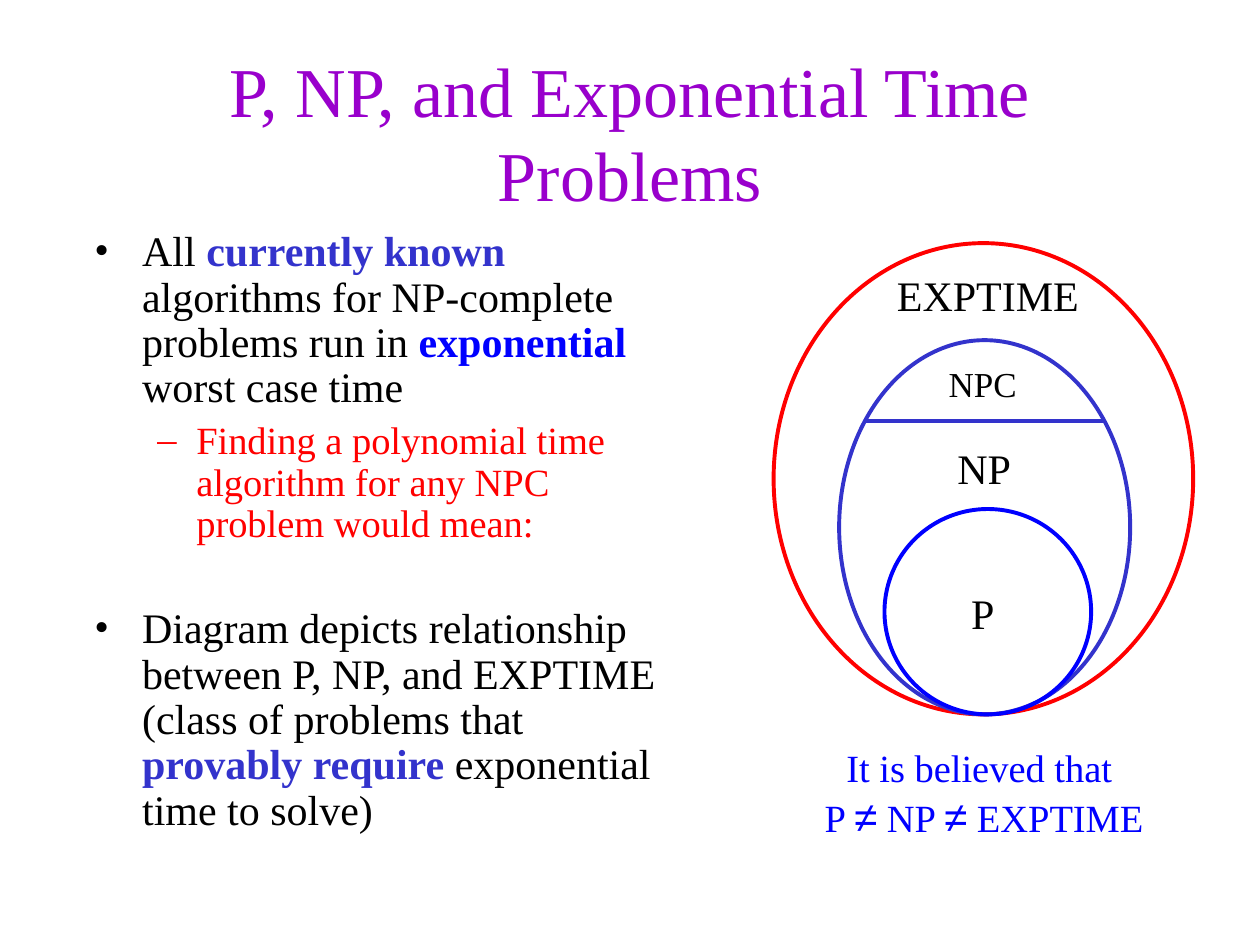
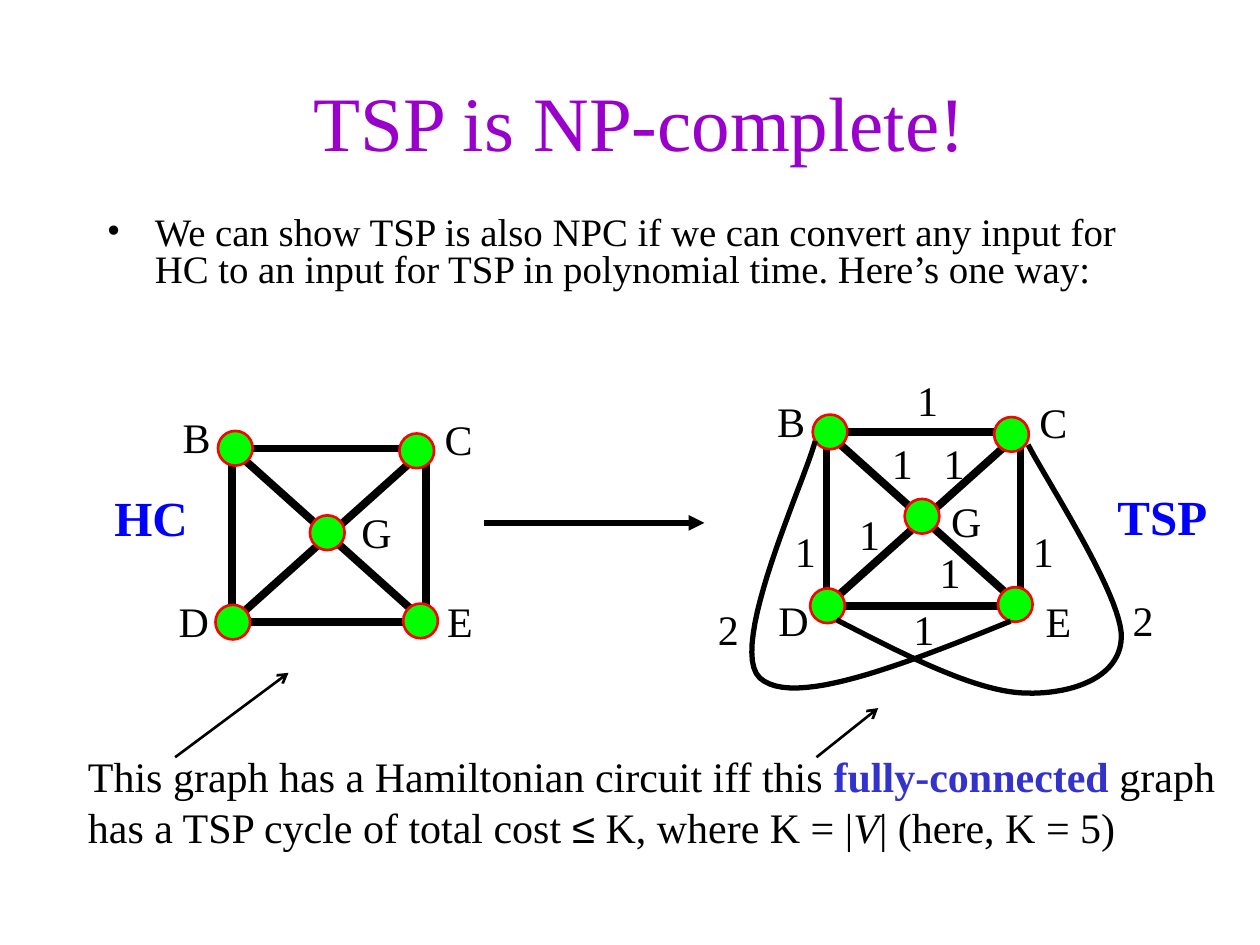
import pptx
import pptx.util
import pptx.dml.color
import pptx.enum.shapes
import pptx.enum.text
import pptx.oxml.ns
from lxml import etree

Inches = pptx.util.Inches
Pt = pptx.util.Pt
PRESETS = pptx.enum.shapes.MSO_SHAPE
ALIGN = pptx.enum.text.PP_ALIGN
FIT = pptx.enum.text.MSO_AUTO_SIZE

FONT = "Times New Roman"
SYMBOL_FONT = "Arial"
COLORS = {
    "title": "9900CC",
    "ink": "000000",
    "indigo": "3333CC",
    "blue": "0000FF",
    "red": "FF0000",
    "green": "00FF00",
}

# Node circles and edges, measured from the top left corner of a graph's square
SQUARE = (1.54, 1.38)
NODE_SIZE = 0.275
NODES = [(-0.11, -0.14), (1.33, -0.12), (-0.13, 1.24), (1.36, 1.23), (0.62, 0.53)]
NAMES = "BCDEG"


def rgb(name):
    return pptx.dml.color.RGBColor.from_string(COLORS[name])


def add_xml(parent, tag, **attributes):
    return etree.SubElement(parent, pptx.oxml.ns.qn(tag), **attributes)


def add_run(para, text, size, color="ink", bold=False, italic=False, font=FONT):
    span = para.add_run()
    span.text = text
    span.font.name = font
    span.font.size = Pt(size)
    span.font.bold = bold
    span.font.italic = italic
    span.font.color.rgb = rgb(color)


def add_title(page, text, left, top, size):
    title = page.shapes.title
    title.left, title.top = Inches(left), Inches(top)
    title.width, title.height = Inches(8.5), Inches(1.25)
    frame = title.text_frame
    frame.word_wrap = True
    frame.auto_size = FIT.NONE
    frame.vertical_anchor = pptx.enum.text.MSO_ANCHOR.MIDDLE
    para = frame.paragraphs[0]
    para.alignment = ALIGN.CENTER
    add_run(para, text, size, "title")


def add_text(page, left, top, width, height, lines, align=ALIGN.LEFT):
    """Each line is a list of runs; a run is (text, size, options)."""
    box = page.shapes.add_textbox(Inches(left), Inches(top), Inches(width), Inches(height))
    frame = box.text_frame
    frame.word_wrap = False
    frame.auto_size = FIT.SHAPE_TO_FIT_TEXT
    for index, runs in enumerate(lines):
        para = frame.add_paragraph() if index else frame.paragraphs[0]
        para.alignment = align
        for text, size, options in runs:
            add_run(para, text, size, **options)


def add_label(page, text, left, top, size=24, width=0.42, height=0.5, **options):
    add_text(page, left, top, width, height, [[(text, size, options)]])


def add_bullets(page, left, top, width, height, spacing, bullets):
    """Each bullet is (level, space before, size, runs); a run is (text, options)."""
    box = page.shapes.add_textbox(Inches(left), Inches(top), Inches(width), Inches(height))
    frame = box.text_frame
    frame.word_wrap = True
    for index, (level, before, size, runs) in enumerate(bullets):
        para = frame.add_paragraph() if index else frame.paragraphs[0]
        para.level = level
        para.line_spacing = spacing
        para.space_before = Pt(before)
        mark, margin, hang, color = [("•", 0.38, 0.38, "ink"), ("–", 0.81, 0.31, "red")][level]
        props = para._p.get_or_add_pPr()
        props.set("marL", str(Inches(margin)))
        props.set("indent", str(-Inches(hang)))
        add_xml(add_xml(props, "a:buClr"), "a:srgbClr", val=COLORS[color])
        add_xml(props, "a:buFont", typeface=FONT)
        add_xml(props, "a:buChar", char=mark)
        for text, options in runs:
            add_run(para, text, size, **options)


def style_outline(shape, color, weight, fill=None):
    shape.shadow.inherit = False
    if fill:
        shape.fill.solid()
        shape.fill.fore_color.rgb = rgb(fill)
    else:
        shape.fill.background()
    shape.line.color.rgb = rgb(color)
    shape.line.width = Pt(weight)


def add_outline(page, preset, left, top, width, height, color, weight, fill=None):
    shape = page.shapes.add_shape(
        preset, Inches(left), Inches(top), Inches(width), Inches(height))
    style_outline(shape, color, weight, fill)


def add_line(page, start, end, weight, color="ink", arrow=None):
    line = page.shapes.add_connector(
        pptx.enum.shapes.MSO_CONNECTOR.STRAIGHT, *[Inches(value) for value in (*start, *end)])
    line.line.color.rgb = rgb(color)
    line.line.width = Pt(weight)
    if arrow:
        add_xml(line.line._get_or_add_ln(), "a:tailEnd", type=arrow)
    add_xml(line._element.spPr, "a:effectLst")


def bezier_point(points, t):
    weights = ((1 - t) ** 3, 3 * t * (1 - t) ** 2, 3 * t ** 2 * (1 - t), t ** 3)
    return tuple(Inches(sum(weight * point[axis] for weight, point in zip(weights, points)))
                 for axis in (0, 1))


def add_curve(page, points, steps=24):
    """Draw chained cubic curves: a start point, then three points per curve."""
    vertices = [bezier_point(points[first:first + 4], step / steps)
                for first in range(0, len(points) - 1, 3)
                for step in range(1, steps + 1)]
    builder = page.shapes.build_freeform(Inches(points[0][0]), Inches(points[0][1]))
    builder.add_line_segments(vertices, close=False)
    style_outline(builder.convert_to_shape(), "ink", 3)


def add_graph(page, left, top, label_places):
    width, height = SQUARE
    right, bottom = left + width, top + height
    add_outline(page, PRESETS.RECTANGLE, left, top, width, height, "ink", 4.5)
    add_line(page, (left, top), (right, bottom), 4.5)
    add_line(page, (left, bottom), (right, top), 4.5)
    for x, y in NODES:
        add_outline(page, PRESETS.OVAL, left + x, top + y, NODE_SIZE, NODE_SIZE,
                    "red", 1.5, "green")
    for name, (x, y) in zip(NAMES, label_places):
        add_label(page, name, x, y)


def build_classes_page(page):
    add_title(page, "P, NP, and Exponential Time Problems", 0.75, 0.42, 40)
    indigo = {"color": "indigo", "bold": True}
    # The last bullet stands one line further down
    add_bullets(page, 0.65, 1.78, 4.74, 5.06, 0.9, [
        (0, 6, 24, [("All ", {}), ("currently known", indigo),
                    (" algorithms for NP-complete problems run in ", {}),
                    ("exponential", {"color": "blue", "bold": True}),
                    (" worst case time", {})]),
        (1, 5.5, 22, [("Finding a polynomial time algorithm for any NPC problem would mean:",
                       {"color": "red"})]),
        (0, 35, 24, [("Diagram depicts relationship between P, NP, and EXPTIME "
                      "(class of problems that ", {}),
                     ("provably require", indigo), (" exponential time to solve)", {})]),
    ])

    # Belief about the classes
    blue = {"color": "blue"}
    unequal = ("≠", 24, {"color": "blue", "font": SYMBOL_FONT})
    add_text(page, 6.35, 5.86, 2.92, 0.87, [
        [("It is believed that ", 22, blue)],
        [("P ", 22, blue), unequal, (" NP ", 22, blue), unequal, (" EXPTIME", 22, blue)],
    ], ALIGN.CENTER)

    # Nested classes
    for left, top, width, height, color in [
            (6.14, 1.93, 3.33, 3.74, "red"),
            (6.66, 2.7, 2.31, 2.97, "indigo"),
            (7.02, 4.04, 1.64, 1.63, "blue")]:
        add_outline(page, PRESETS.OVAL, left, top, width, height, color, 2.25)
    add_line(page, (6.86, 3.34), (8.76, 3.34), 2.25, "indigo")

    # Class names, in boxes a little wider than their text
    add_label(page, "EXPTIME", 7.02, 2.09, width=1.7)
    add_label(page, "NP", 7.5, 3.46, width=0.7)
    add_label(page, "P", 7.61, 4.61)
    add_label(page, "NPC", 7.43, 2.83, size=20, width=0.8, height=0.44)


def build_reduction_page(page):
    add_title(page, "TSP is NP-complete!", 0.83, 0.33, 44)
    add_bullets(page, 0.75, 1.67, 8.38, 0.98, 0.8, [
        (0, 6, 22.2, [("We can show TSP is also NPC if we can convert any input for HC "
                       "to an input for TSP in polynomial time. Here’s one way:", {})]),
    ])

    # Both graphs and the extra edges of the right one
    add_graph(page, 1.84, 3.56,
              [(1.35, 3.22), (3.43, 3.23), (1.32, 4.68), (3.45, 4.68), (2.77, 3.97)])
    add_graph(page, 6.56, 3.43,
              [(6.07, 3.09), (8.15, 3.1), (6.08, 4.67), (8.2, 4.68), (7.45, 3.88)])
    add_curve(page, [(8.02, 4.93), (7.16, 5.28), (6.29, 5.62), (6.03, 5.38),
                     (5.77, 5.14), (6.39, 3.81), (6.47, 3.5)])
    add_curve(page, [(6.64, 4.92), (7.18, 5.2), (7.73, 5.48), (8.11, 5.5),
                     (8.48, 5.52), (8.89, 5.39), (8.9, 5.06),
                     (8.91, 4.73), (8.29, 3.79), (8.16, 3.53)])

    # Statement and arrows
    add_text(page, 0.6, 5.91, 9.23, 0.9, [
        [("This graph has a Hamiltonian circuit iff this ", 24, {}),
         ("fully-connected", 24, {"color": "indigo", "bold": True}), (" graph", 24, {})],
        [("has a TSP cycle of total cost ", 24, {}), ("≤", 24, {"font": SYMBOL_FONT}),
         (" K, where K = |", 24, {}), ("V", 24, {"italic": True}),
         ("| (here, K = 5)", 24, {})],
    ])
    add_line(page, (1.39, 6.01), (2.29, 5.34), 1.5, arrow="arrow")
    add_line(page, (6.48, 6.01), (6.97, 5.62), 1.5, arrow="arrow")
    add_line(page, (3.84, 4.15), (5.59, 4.15), 3, arrow="triangle")

    # Problem names
    for name, left, top, width in [("HC", 0.81, 3.82, 0.78), ("TSP", 8.77, 3.81, 0.95)]:
        add_label(page, name, left, top, 28, width, 0.57, color="blue", bold=True)

    # Edge costs
    costs = {
        "2": [(5.6, 4.74), (8.89, 4.67)],
        "1": [(6.21, 4.12), (8.1, 4.12), (7.15, 4.74), (6.98, 3.42),
              (7.18, 2.92), (6.72, 3.99), (7.39, 3.42), (7.36, 4.29)],
    }
    for cost, places in costs.items():
        for left, top in places:
            add_label(page, cost, left, top, width=0.36)


def main():
    deck = pptx.Presentation()
    deck.slide_width, deck.slide_height = Inches(10), Inches(7.5)
    title_only = deck.slide_layouts[5]
    for build in (build_classes_page, build_reduction_page):
        build(deck.slides.add_slide(title_only))
    deck.save("out.pptx")


if __name__ == "__main__":
    main()
